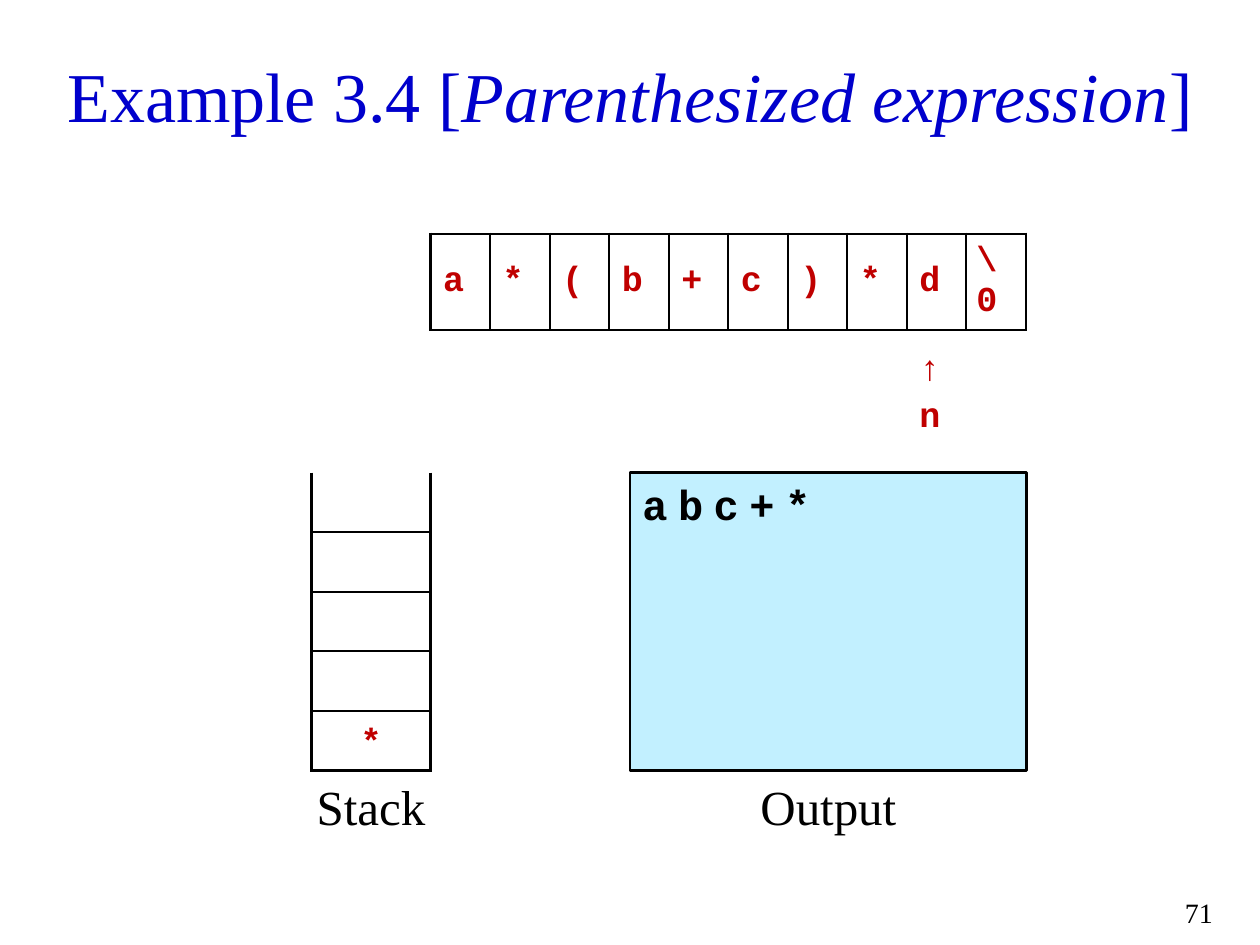
from lxml.etree import SubElement
from pptx import Presentation
from pptx.dml.color import RGBColor
from pptx.enum.shapes import MSO_SHAPE
from pptx.enum.text import MSO_ANCHOR, PP_ALIGN
from pptx.oxml.ns import qn
from pptx.util import Cm, Pt

SERIF, MONO = "Times New Roman", "Courier New"
BLACK, BLUE, RED, PALE = "000000", "0000CC", "C00000", "C2F0FF"
UNIT = 1.2
EDGE = 1.5


def tint(code):
    return RGBColor.from_string(code)


class Board:
    def __init__(self, slide):
        self.slide = slide

    def text(self, frame, runs, size, font=SERIF, color=BLACK,
             align=PP_ALIGN.LEFT, bold=False, gap=0):
        para = frame.paragraphs[0]
        para.alignment = align
        for words, slant in runs:
            run = para.add_run()
            run.text = words
            style = run.font
            style.name, style.size = font, Pt(size)
            style.bold, style.italic = bold, slant
            style.color.rgb = tint(color)
            if gap:
                run._r.get_or_add_rPr().set("spc", str(gap * 100))

    def label(self, area, runs, size, align=PP_ALIGN.CENTER, color=BLACK,
              anchor=MSO_ANCHOR.TOP):
        frame = self.slide.shapes.add_textbox(*map(Cm, area)).text_frame
        frame.word_wrap = True
        frame.vertical_anchor = anchor
        self.text(frame, runs, size, color=color, align=align)

    def panel(self, area, words):
        box = self.slide.shapes.add_shape(MSO_SHAPE.RECTANGLE, *map(Cm, area))
        box.shadow.inherit = False
        box.fill.solid()
        box.fill.fore_color.rgb = tint(PALE)
        box.line.color.rgb = tint(BLACK)
        box.line.width = Pt(EDGE)
        box.text_frame.word_wrap = True
        box.text_frame.vertical_anchor = MSO_ANCHOR.TOP
        self.text(box.text_frame, [(words, False)], 24, MONO, bold=True, gap=6)

    def grid(self, left, top, rows, cols, wide, sides):
        area = left, top, wide * cols, UNIT * rows
        table = self.slide.shapes.add_table(rows, cols, *map(Cm, area)).table
        table.first_row = table.horz_banding = False
        for col in table.columns:
            col.width = Cm(wide)
        for row in range(rows):
            table.rows[row].height = Cm(UNIT)
            for col in range(cols):
                cell = table.cell(row, col)
                self.border(cell, sides(row))
                cell.fill.background()
        return table

    def border(self, cell, sides):
        props = cell._tc.get_or_add_tcPr()
        for side in "LRTB":
            line = SubElement(props, qn(f"a:ln{side}"), w=str(Pt(EDGE)))
            if side in sides:
                fill = SubElement(line, qn("a:solidFill"))
                SubElement(fill, qn("a:srgbClr"), val=BLACK)
            else:
                SubElement(line, qn("a:noFill"))

    def mark(self, cell, words, anchor=MSO_ANCHOR.MIDDLE, align=PP_ALIGN.LEFT):
        cell.vertical_anchor = anchor
        self.text(cell.text_frame, [(words, False)], 20, MONO, RED, align, True)


def main():
    deck = Presentation()
    deck.slide_width, deck.slide_height = Cm(25.4), Cm(19.05)
    board = Board(deck.slides.add_slide(deck.slide_layouts[6]))

    title = [("Example 3.4 [", False), ("Parenthesized expression", True),
             ("]", False)]
    board.label((0.7, 0.7, 24, 2.4), title, 40, color=BLUE,
                anchor=MSO_ANCHOR.MIDDLE)
    board.label((23.1, 17.93, 1.6, 0.8), [("71", False)], 16, PP_ALIGN.RIGHT)

    stack = board.grid(6.28, 9.53, 5, 1, 2 * UNIT,
                       lambda row: "LRTB" if row else "LRB")
    board.mark(stack.cell(4, 0), "*", MSO_ANCHOR.BOTTOM, PP_ALIGN.CENTER)
    board.panel((12.7, 9.53, 8, 6), "abc+*")
    board.label((14.7, 15.53, 4, 1.6), [("Output", False)], 28)
    board.label((5.88, 15.53, 3.2, 1.6), [("Stack", False)], 28)

    signs = [*"a*(b+c)*d", "\\0"]
    tape = board.grid(8.68, 4.71, 3, len(signs), UNIT,
                      lambda row: ("LRTB", "T", "")[row])
    for col, sign in enumerate(signs):
        board.mark(tape.cell(0, col), sign)
    last = tape.cell(0, len(signs) - 1)
    last.margin_left = last.margin_right = Cm(0.2)
    spot = signs.index("d")
    arrow = tape.cell(1, spot)
    arrow.margin_top, arrow.margin_bottom = Cm(0.4), Cm(0)
    board.mark(arrow, "↑")
    board.mark(tape.cell(2, spot), "n", MSO_ANCHOR.TOP)

    deck.save("out.pptx")


if __name__ == "__main__":
    main()
